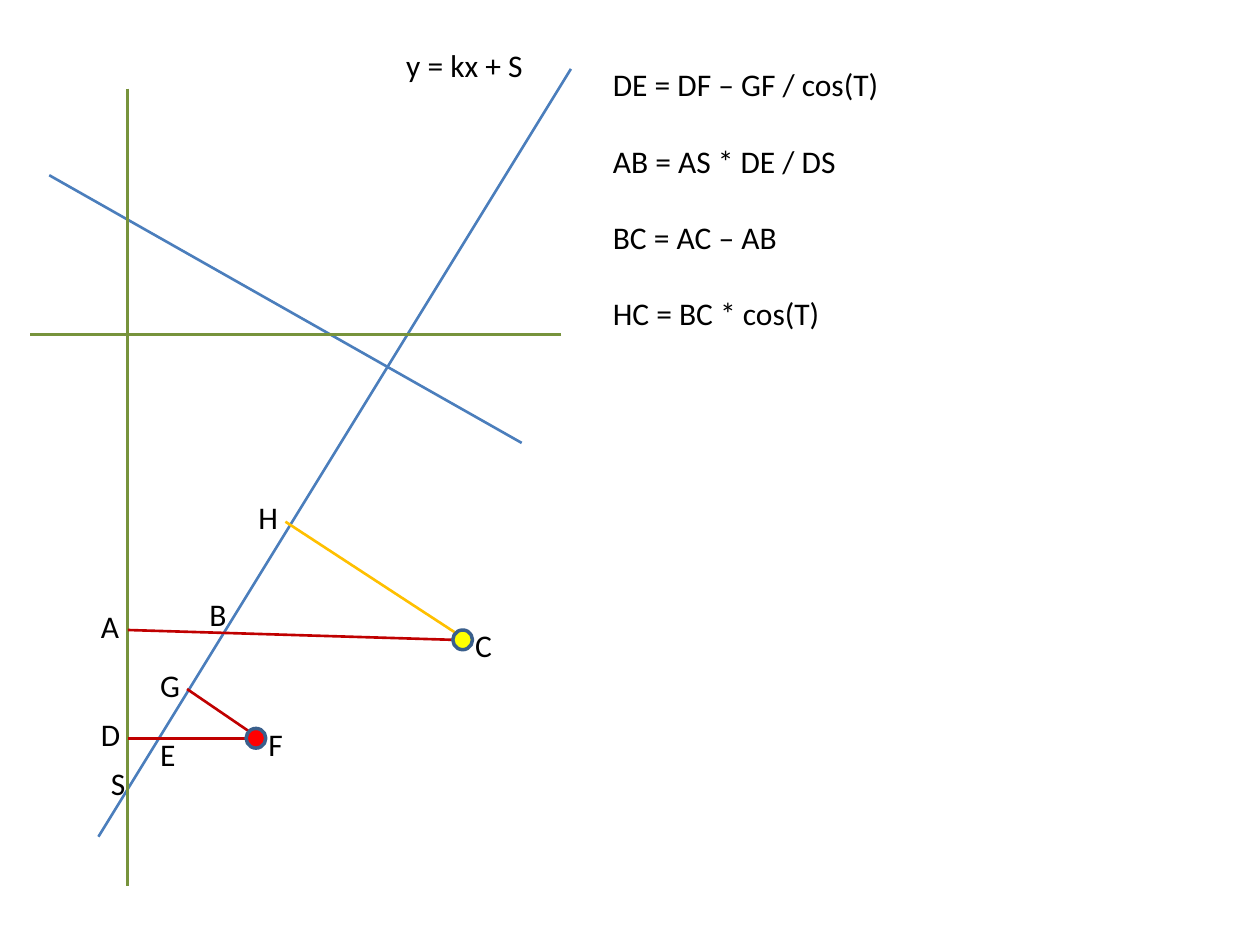
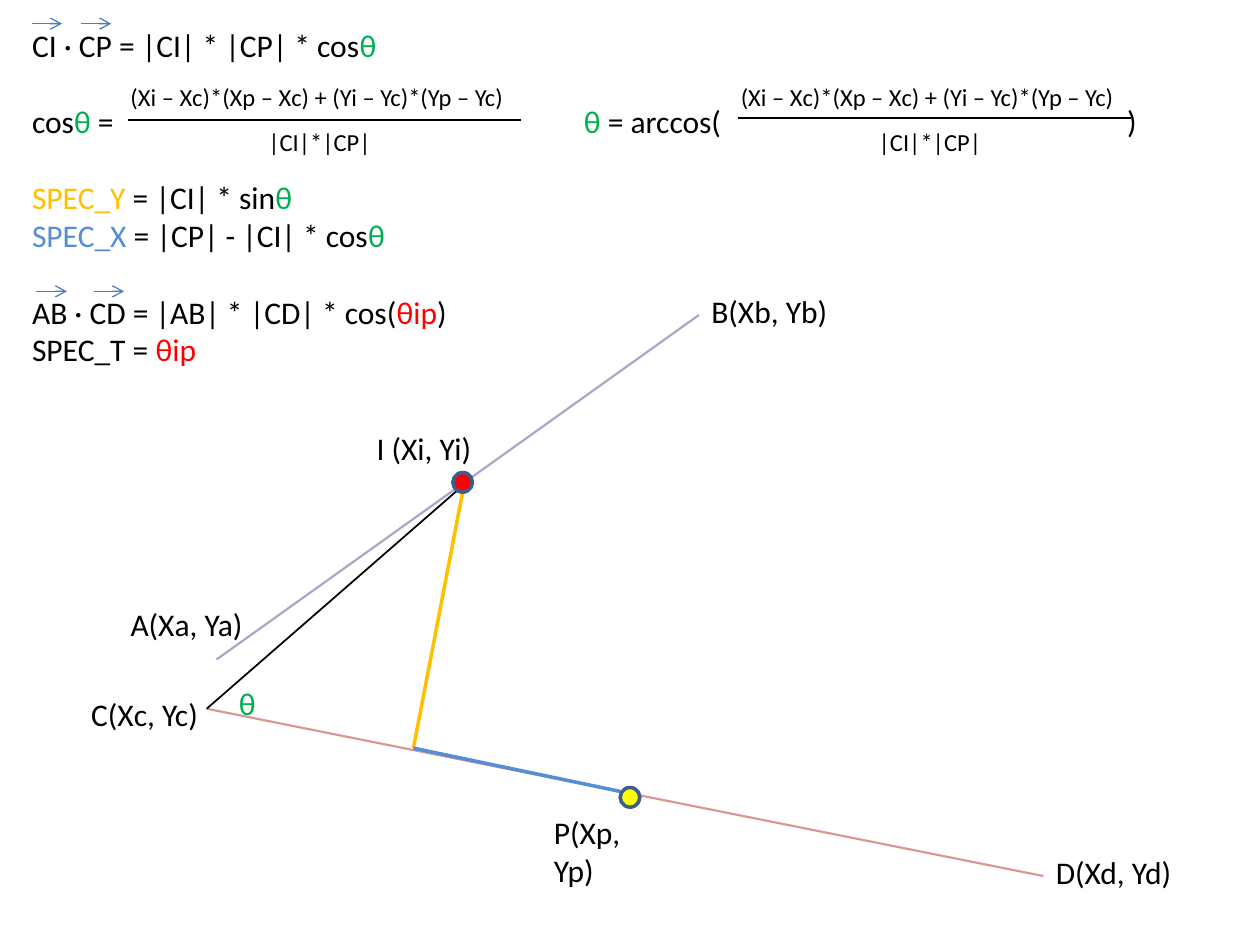
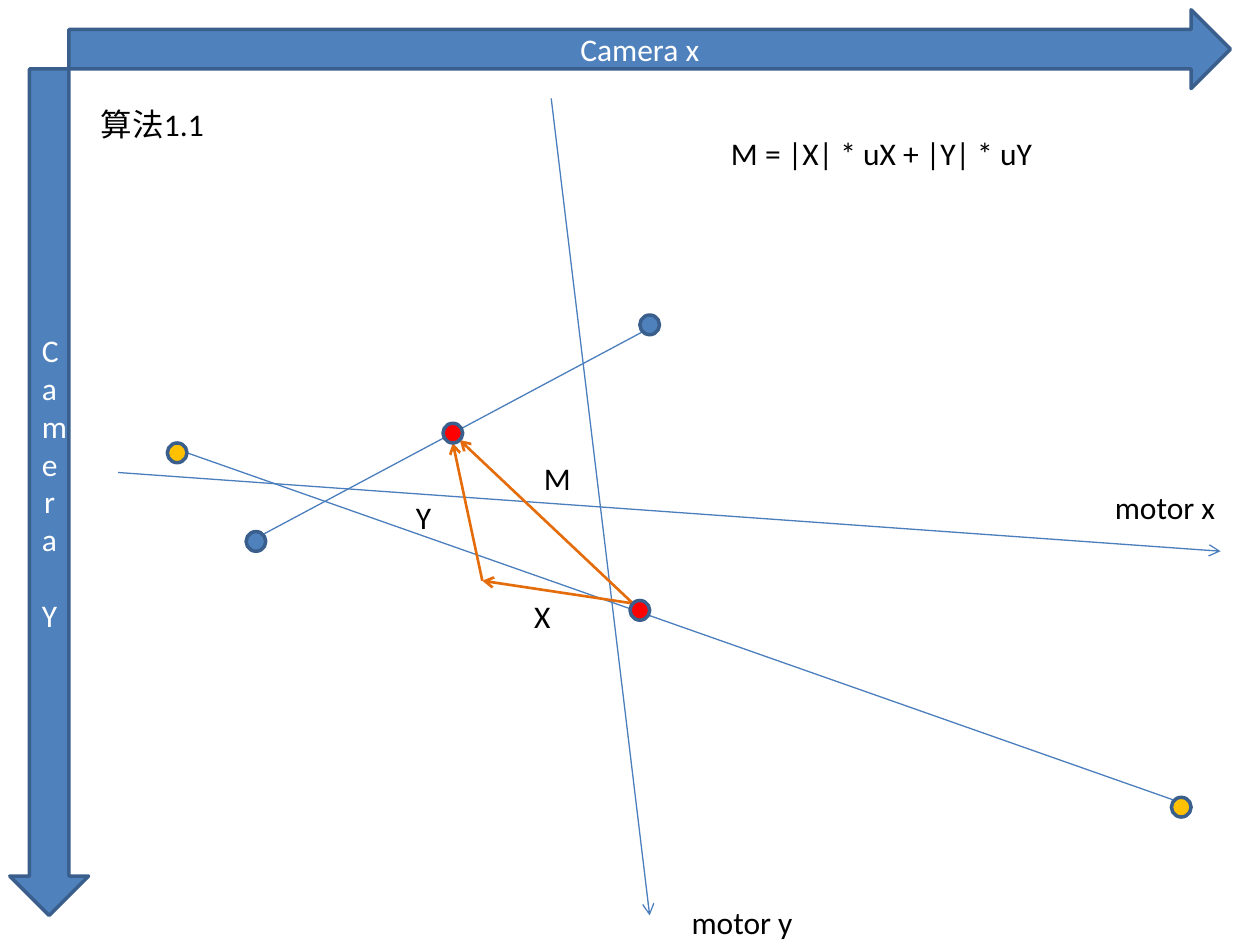
from lxml import etree
from pptx import Presentation
from pptx.dml.color import RGBColor as RGB
from pptx.enum.shapes import MSO_CONNECTOR as LINK, MSO_SHAPE as SHAPE
from pptx.enum.text import MSO_ANCHOR as ANCHOR, PP_ALIGN as ALIGN
from pptx.oxml.ns import qn
from pptx.util import Inches, Pt

BLACK = RGB(0, 0, 0)
WHITE = RGB(255, 255, 255)
BLUE = RGB(0x4F, 0x81, 0xBD)
EDGE = RGB(0x3A, 0x5F, 0x8C)
STEEL = RGB(0x4B, 0x7E, 0xBC)
SKY = RGB(0x55, 0x8E, 0xD5)
OLIVE = RGB(0x77, 0x93, 0x3C)
GREEN = RGB(0x00, 0xB0, 0x50)
RED = RGB(255, 0, 0)
DARK = RGB(0xC0, 0, 0)
GOLD = RGB(0xFF, 0xC0, 0)
YELLOW = RGB(255, 255, 0)
ORANGE = RGB(0xE4, 0x6C, 0x0A)
LILAC = RGB(0xB3, 0xA2, 0xC7)
ROSE = RGB(0xD9, 0x96, 0x94)
FONT = "Calibri"

deck = Presentation()
deck.slide_width, deck.slide_height = Inches(10), Inches(7.5)
CELL = deck.slide_width / 128  # the slide is a grid of 128 by 96 square cells
ROW = 5.17  # cells in the height of a one-line label
GAP = Pt(22)


def cells(*counts):
    return [round(count * CELL) for count in counts]


def write(frame, lines, size=18):
    """Fill a frame with lines, each a list of (text, colour) runs."""
    frame.word_wrap = True
    for i, line in enumerate(lines):
        para = frame.paragraphs[0] if i == 0 else frame.add_paragraph()
        for text, tint in line:
            run = para.add_run()
            run.text = text
            run.font.name, run.font.size = FONT, Pt(size)
            run.font.color.rgb = tint


cross, angle, motor = [deck.slides.add_slide(deck.slide_layouts[6]) for _ in range(3)]

# Lines: slide, start, end, colour, width, arrow at the end
strokes = [
    (cross, 58, 7, 10, 85, STEEL, 1.5, False),
    (cross, 53, 45, 5, 17.8, STEEL, 1.5, False),
    (cross, 57, 34, 3, 34, OLIVE, 1.75, False),
    (cross, 13, 9, 13, 90, OLIVE, 1.75, False),
    (cross, 46, 65, 13, 64, DARK, 1.5, False),
    (cross, 25, 75, 13, 75, DARK, 1.5, False),
    (cross, 46.3, 64.3, 29, 53, GOLD, 1.5, False),
    (cross, 25.3, 74.3, 19, 70, DARK, 1.5, False),
    (angle, 71, 32, 22, 67, LILAC, 1.25, False),
    (angle, 106, 89, 21, 72, ROSE, 1.25, False),
    (angle, 42, 76, 47, 50, GOLD, 2, False),
    (angle, 63, 80.4, 42, 76, SKY, 2, False),
    (angle, 46.6, 49.7, 21, 72, BLACK, 1, False),
    (motor, 12, 48, 124, 56, STEEL, 0.75, True),
    (motor, 56, 10, 66, 93, STEEL, 0.75, True),
    (motor, 19, 46, 119.3, 81.3, STEEL, 0.75, False),
    (motor, 26.7, 54.3, 65.3, 33.7, STEEL, 0.75, False),
    (motor, 64.3, 61.3, 46.7, 44.7, ORANGE, 1.5, True),
    (motor, 64.3, 61.3, 49, 59, ORANGE, 1.5, True),
    (motor, 49, 59, 46, 45, ORANGE, 1.5, True),
]
# Vector signs above CI, CP, AB and CD
for x, y in [(3.2, 2.4), (8.2, 2.4), (3.7, 29.6), (9.5, 29.6)]:
    strokes.append((angle, x, y, x + 3.1, y, STEEL, 0.75, True))
# Fraction bars
for x, y in [(13, 12.2), (75, 12)]:
    strokes.append((angle, x, y, x + 39.9, y, BLACK, 1.5, False))

for slide, x1, y1, x2, y2, tint, width, arrow in strokes:
    link = slide.shapes.add_connector(LINK.STRAIGHT, *cells(x1, y1, x2, y2))
    link.line.color.rgb, link.line.width = tint, Pt(width)
    if arrow:
        etree.SubElement(link.line._get_or_add_ln(), qn("a:tailEnd"), type="arrow")
    etree.SubElement(link._element.spPr, qn("a:effectLst"))

# Dots and camera arrows: slide, form, place, size, fill, text
forms = [
    (motor, SHAPE.RIGHT_ARROW, 7, 1, 118, 8, BLUE, "Camera x"),
    (motor, SHAPE.DOWN_ARROW, 1, 7, 8, 86, BLUE, "Camera Y"),
]
for slide, x, y, tint in [
    (cross, 25, 74, RED), (cross, 46, 64, YELLOW),
    (angle, 46, 48, RED), (angle, 63, 80, YELLOW),
    (motor, 25, 54, BLUE), (motor, 65, 32, BLUE),
    (motor, 17, 45, GOLD), (motor, 119, 81, GOLD),
    (motor, 45, 43, RED), (motor, 64, 61, RED),
]:
    forms.append((slide, SHAPE.OVAL, x, y, 2, 2, tint, ""))

for slide, kind, x, y, width, height, tint, text in forms:
    form = slide.shapes.add_shape(kind, *cells(x, y, width, height))
    form.shadow.inherit = False
    form.fill.solid()
    form.fill.fore_color.rgb = tint
    form.line.color.rgb, form.line.width = EDGE, Pt(2)
    if text:
        write(form.text_frame, [[(text, WHITE)]])
        form.text_frame.vertical_anchor = ANCHOR.MIDDLE
        form.text_frame.paragraphs[0].alignment = ALIGN.CENTER

# Labels: slide, place, width, text, colour, size
labels = [
    (cross, 40, 4, 17, "y = kx + S", BLACK, 18),
    (angle, 37, 43, 14, "I (Xi, Yi)", BLACK, 18),
    (angle, 55, 82, 14, "P(Xp, Yp)", BLACK, 18),
    (angle, 12, 60.8, 15, "A(Xa, Ya)", BLACK, 18),
    (angle, 71, 29, 15, "B(Xb, Yb)", BLACK, 18),
    (angle, 8, 70, 15, "C(Xc, Yc)", BLACK, 18),
    (angle, 106, 86, 15, "D(Xd, Yd)", BLACK, 18),
    (angle, 23, 68.9, 6, "θ", GREEN, 18),
    (motor, 112, 49, 14, "motor x", BLACK, 18),
    (motor, 69, 91.1, 14, "motor y", BLACK, 18),
    (motor, 73, 13, 49, "M = |X| * uX + |Y| * uY", BLACK, 18),
    (motor, 9, 10, 37, "算法1.1", BLACK, 18),
]
for slide, x, y, text in [
    (cross, 9, 61, "A"), (cross, 20, 59.8, "B"), (cross, 47, 63, "C"),
    (cross, 9, 72, "D"), (cross, 15, 74, "E"), (cross, 26, 73, "F"),
    (cross, 15, 67, "G"), (cross, 25, 50, "H"), (cross, 10, 77, "S"),
    (motor, 53, 60, "X"), (motor, 41, 50, "Y"), (motor, 54, 46, "M"),
]:
    labels.append((slide, x, y, 6, text, BLACK, 18))
for x in (12, 74):
    labels.append((angle, x, 7.75, 42, "(Xi – Xc)*(Xp – Xc) + (Yi – Yc)*(Yp – Yc)", BLACK, 14))
    labels.append((angle, x + 14, 12.3, 18, "|CI|*|CP|", BLACK, 14))

for slide, x, y, width, text, tint, size in labels:
    box = slide.shapes.add_textbox(*cells(x, y, width, ROW))
    write(box.text_frame, [[(text, tint)]], size)

# Distance formulas
box = cross.shapes.add_textbox(*cells(61, 6, 63, 32.3))
write(box.text_frame, [[(text, BLACK)] for text in (
    "DE = DF – GF / cos(T)",
    "AB = AS * DE / DS",
    "BC = AC – AB",
    "HC = BC * cos(T)",
)])
for para in box.text_frame.paragraphs[1:]:
    para.space_before = GAP

# Angle formulas, with tab stops that leave room for the fractions
theta = ("θ", GREEN)
box = angle.shapes.add_textbox(*cells(2, 2, 118, 36.2))
write(box.text_frame, [
    [("CI · CP = |CI| * |CP| * cos", BLACK), theta],
    [("cos", BLACK), theta, (" =\t", BLACK), theta, (" = arccos(\t)", BLACK)],
    [("SPEC_Y", GOLD), (" = |CI| * sin", BLACK), theta],
    [("SPEC_X ", SKY), ("= |CP| - |CI| * cos", BLACK), theta],
    [("AB · CD = |AB| * |CD| * cos(", BLACK), ("θip", RED), (")", BLACK)],
    [("SPEC_T = ", BLACK), ("θip", RED)],
])
paras = box.text_frame.paragraphs
tabs = etree.SubElement(paras[1]._p.get_or_add_pPr(), qn("a:tabLst"))
for stop in (4.38, 8.69):
    etree.SubElement(tabs, qn("a:tab"), pos=str(Inches(stop)), algn="l")
for i in (1, 2, 4):
    paras[i].space_before = GAP

deck.save("out.pptx")
